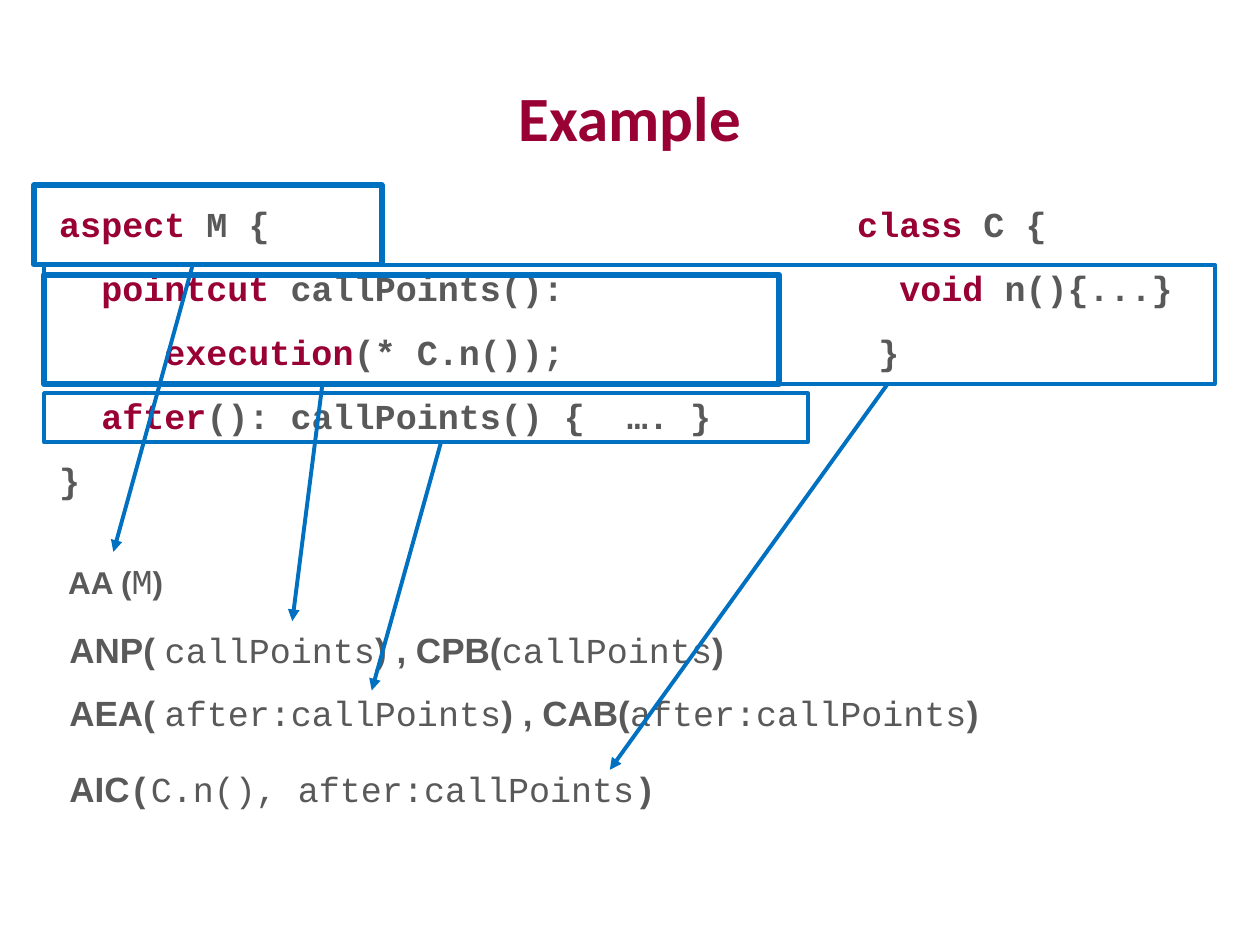
from dataclasses import dataclass

import pptx
import pptx.dml.color
import pptx.enum.shapes
import pptx.enum.text
import pptx.oxml
import pptx.oxml.ns
import pptx.util
from pptx.util import Inches

COLORS = {"keyword": "990033", "text": "595959", "accent": "0070C0"}
CODE_FONT, LABEL_FONT = "Courier New", "Arial"
CHAR_WIDTH = 1 / 6  # inches per character of 20 pt code
CLASS_COLUMN = 38  # character column where the class listing starts


@dataclass
class Span:
    text: str
    color: str = "text"
    font: str = CODE_FONT
    bold: bool = True
    size: int = 20


@dataclass
class Label:
    left: float
    top: float
    spans: list


@dataclass
class Frame:
    left: float
    top: float
    width: float
    height: float
    weight: float = 2.25


@dataclass
class Arrow:
    start: tuple
    end: tuple


def rgb(name: str):
    return pptx.dml.color.RGBColor.from_string(COLORS[name])


def keyword(text: str) -> Span:
    return Span(text, color="keyword")


def caption(text: str, size: int = 20) -> Span:
    return Span(text, font=LABEL_FONT, size=size)


def argument(text: str) -> Span:
    return Span(text, bold=False)


def add_span(para, span: Span) -> None:
    run = para.add_run()
    run.text = span.text
    formats = {"name": span.font, "bold": span.bold,
               "size": pptx.util.Pt(span.size)}
    for key, value in formats.items():
        setattr(run.font, key, value)
    run.font.color.rgb = rgb(span.color)


def add_text(page, left: float, top: float, width: float, height: float,
             lines: list, tab: float = 0) -> None:
    box = page.shapes.add_textbox(*map(Inches, (left, top, width, height)))
    formats = {"margin_left": Inches(0.12), "margin_right": Inches(0.12),
               "margin_top": Inches(0.06), "margin_bottom": Inches(0.06),
               "word_wrap": True,
               "auto_size": pptx.enum.text.MSO_AUTO_SIZE.SHAPE_TO_FIT_TEXT}
    for key, value in formats.items():
        setattr(box.text_frame, key, value)
    for index, spans in enumerate(lines):
        para = box.text_frame.paragraphs[0]
        if index:
            para = box.text_frame.add_paragraph()
            para.space_before = pptx.util.Pt(12.5)
        if tab:
            stops = pptx.oxml.parse_xml(
                f'<a:tabLst {pptx.oxml.ns.nsdecls("a")}>'
                f'<a:tab pos="{Inches(tab)}" algn="l"/></a:tabLst>')
            para._p.get_or_add_pPr().append(stops)
        for span in spans:
            add_span(para, span)


def add_frame(page, frame: Frame) -> None:
    shape = page.shapes.add_shape(
        pptx.enum.shapes.MSO_SHAPE.RECTANGLE,
        *map(Inches, (frame.left, frame.top, frame.width, frame.height)))
    shape.shadow.inherit = False
    shape.fill.background()
    shape.line.color.rgb = rgb("accent")
    shape.line.width = pptx.util.Pt(frame.weight)


def add_arrow(page, arrow: Arrow) -> None:
    line = page.shapes.add_connector(
        pptx.enum.shapes.MSO_CONNECTOR.STRAIGHT,
        *map(Inches, arrow.start + arrow.end))
    line.line.color.rgb = rgb("accent")
    line.line.width = pptx.util.Pt(2.25)
    head = pptx.oxml.parse_xml(
        f'<a:tailEnd {pptx.oxml.ns.nsdecls("a")} type="triangle"/>')
    line.line._get_or_add_ln().append(head)
    effects = pptx.oxml.parse_xml(
        f'<a:effectLst {pptx.oxml.ns.nsdecls("a")}/>')
    line._element.spPr.append(effects)


# Aspect on the left, class after the tab
CODE = [
    [keyword("aspect"), Span(" M {\t"), keyword("class"), Span(" C {")],
    [keyword("  pointcut"), Span(" callPoints():\t"),
     keyword("  void"), Span(" n(){...}")],
    [keyword("     execution"), Span("(* C.n());\t }")],
    [keyword("  after"), Span("(): callPoints() {  …. }")],
    [Span("}")],
]

# Dependences found in the code
LABELS = [
    Label(0.42, 4.38, [caption("AA (", 18), argument("M"), caption(")", 18)]),
    Label(0.43, 4.93, [caption("ANP( "), argument("callPoints"),
                       caption(") , CPB("), argument("callPoints"),
                       caption(")")]),
    Label(0.43, 5.43, [caption("AEA( "), argument("after:callPoints"),
                       caption(") , CAB("), argument("after:callPoints"),
                       caption(")")]),
    Label(0.43, 6.03, [caption("AIC"), Span("("),
                       argument("C.n(), after:callPoints"), Span(")")]),
]

# Each frame marks the code that its arrow leads from
FRAMES = [
    Frame(0.27, 1.47, 2.76, 0.63, 3.25),
    Frame(0.35, 2.18, 5.83, 0.87, 3.5),
    Frame(0.35, 3.12, 6.06, 0.39),
    Frame(0.35, 2.1, 9.29, 0.95),
]
ARROWS = [
    Arrow((1.53, 2.1), (0.9, 4.38)),
    Arrow((2.56, 3.04), (2.32, 4.93)),
    Arrow((3.5, 3.51), (2.95, 5.48)),
    Arrow((7.05, 3.04), (4.84, 6.11)),
]


def main() -> None:
    deck = pptx.Presentation()
    deck.slide_width, deck.slide_height = Inches(10), Inches(7.5)
    page = deck.slides.add_slide(deck.slide_layouts.get_by_name("Title Only"))

    # Title
    title = page.shapes.title
    places = {"left": 0.5, "top": 0.3, "width": 9, "height": 1.25}
    for key, value in places.items():
        setattr(title, key, Inches(value))
    title.text_frame.vertical_anchor = pptx.enum.text.MSO_ANCHOR.MIDDLE
    para = title.text_frame.paragraphs[0]
    para.alignment = pptx.enum.text.PP_ALIGN.CENTER
    add_span(para, Span("Example", "keyword", "Calibri", size=36))

    # Code, labels, frames and arrows
    add_text(page, 0.35, 1.55, 9.29, 3.49, CODE, CLASS_COLUMN * CHAR_WIDTH)
    for label in LABELS:
        add_text(page, label.left, label.top, 8.11, 0.45, [label.spans])
    for frame in FRAMES:
        add_frame(page, frame)
    for arrow in ARROWS:
        add_arrow(page, arrow)

    deck.save("out.pptx")


if __name__ == "__main__":
    main()
